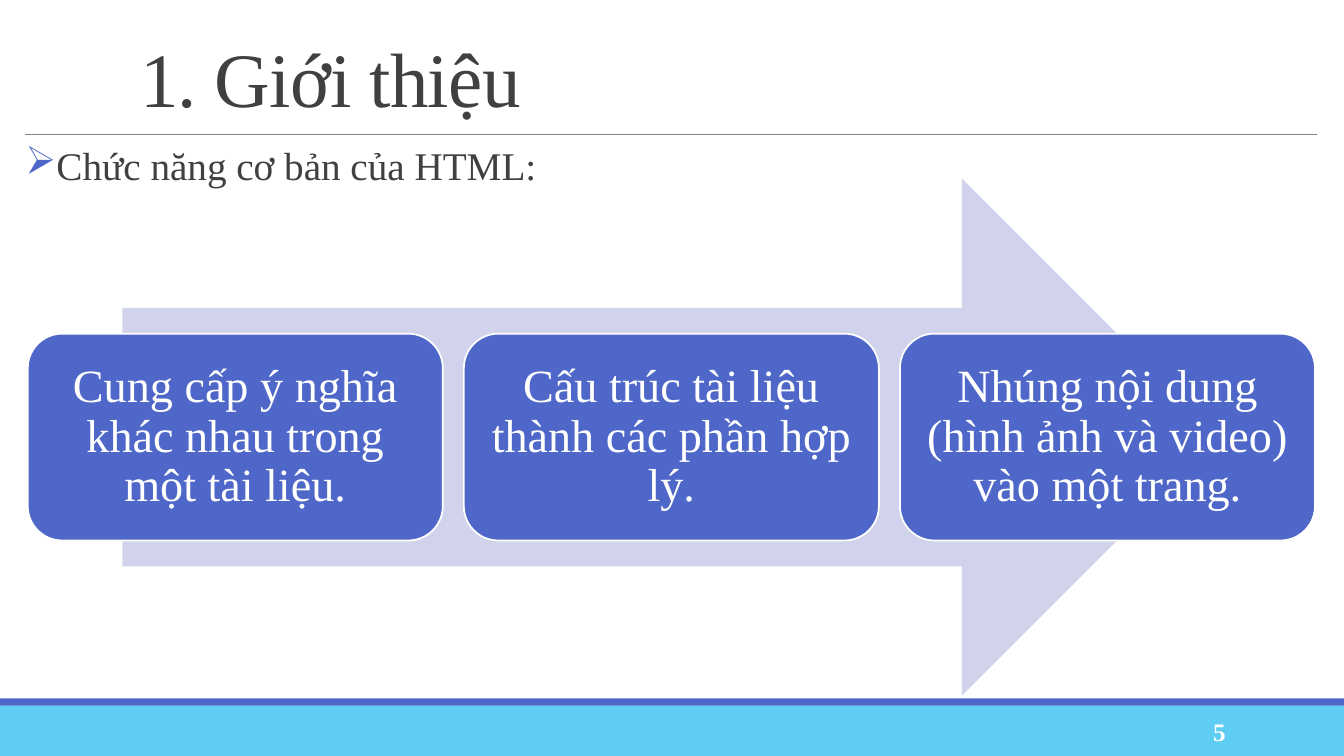
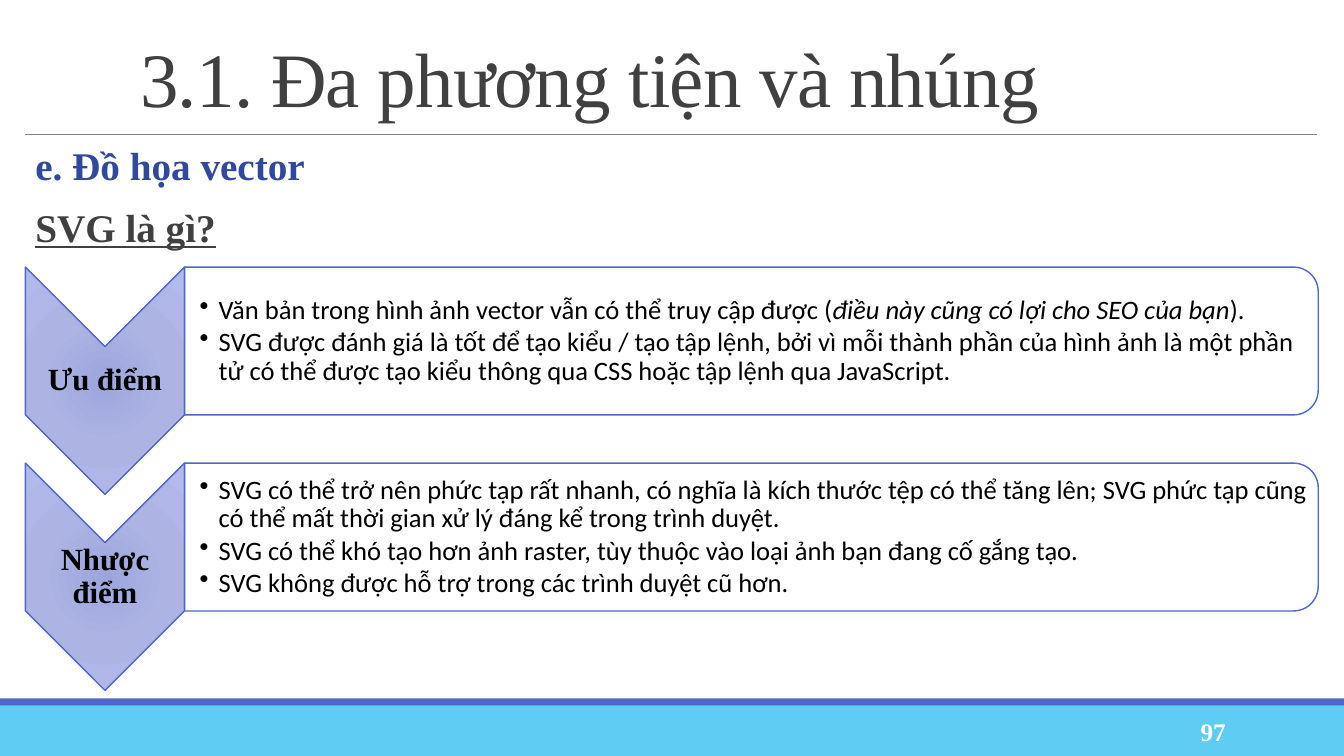
from lxml.etree import SubElement
from pptx import Presentation
from pptx.dml.color import RGBColor
from pptx.enum.shapes import MSO_CONNECTOR, MSO_SHAPE
from pptx.enum.text import MSO_ANCHOR, PP_ALIGN
from pptx.oxml import parse_xml
from pptx.oxml.ns import nsdecls, qn
from pptx.util import Cm, Pt

COLORS = {
    "band": "5ECCF3",
    "accent": "4E67C8",
    "rule": "808080",
    "text": "404040",
    "heading": "31489F",
    "arrow": "D0D3EB",
    "white": "FFFFFF",
    "black": "000000",
    "chevron_in": "9CA5DD",
    "chevron_mid": "ADB4E4",
    "chevron_out": "B2BAEB",
}
SERIF, SANS = "Times New Roman", "Calibri"
SLIDE_W, SLIDE_H = 33.87, 19.05
TITLE_BOX = (3.28, 0.79, 29.92, 2.44)
BODY_BOX = (0.64, 3.56, 32.56, 13.56)
NUMBER_BOX = (27.51, 17.93, 3.63, 1.02)
PROCESS_BOX = (0.64, 4.5, 32.56, 13.03)
CHEVRON_BOX = (0.64, 6.73, 32.58, 10.67)


def rgb(name):
    return RGBColor.from_string(COLORS[name])


def cm(*lengths):
    return [Cm(v) for v in lengths]


def add_run(p, text, size, color, font=SERIF, bold=False, italic=False, underline=False):
    r = p.add_run()
    r.text = text
    f = r.font
    f.name, f.size, f.bold, f.italic, f.underline = font, Pt(size), bold, italic, underline
    f.color.rgb = rgb(color)
    return r


def setup_frame(tf, insets=(0.25, 0.13, 0.25, 0.13), anchor=MSO_ANCHOR.MIDDLE):
    tf.word_wrap = True
    tf.vertical_anchor = anchor
    tf.margin_left, tf.margin_top, tf.margin_right, tf.margin_bottom = cm(*insets)
    return tf


def add_text_box(s, box, **frame):
    return setup_frame(s.shapes.add_textbox(*cm(*box)).text_frame, **frame)


def next_paragraph(tf, index):
    return tf.add_paragraph() if index else tf.paragraphs[0]


def set_bullet(p, hang, char=None, color=None):
    pPr = p._p.get_or_add_pPr()
    pPr.set("marL", str(Cm(hang)))
    pPr.set("indent", str(-Cm(hang) if char else 0))
    if color:
        SubElement(SubElement(pPr, qn("a:buClr")), qn("a:srgbClr"), val=COLORS[color])
    if char:
        SubElement(pPr, qn("a:buChar"), char=char)
    else:
        SubElement(pPr, qn("a:buNone"))


def add_box(s, kind, box, fill=None, line=None, width=1):
    sp = s.shapes.add_shape(kind, *cm(*box))
    sp.shadow.inherit = False
    if fill:
        sp.fill.solid()
        sp.fill.fore_color.rgb = rgb(fill)
    if line:
        sp.line.color.rgb = rgb(line)
        sp.line.width = Pt(width)
    else:
        sp.line.fill.background()
    return sp


def add_turned_box(s, kind, box, **style):
    x, y, w, h = box
    sp = add_box(s, kind, (x + (w - h) / 2, y + (h - w) / 2, h, w), **style)
    sp.rotation = 90
    return sp


def set_radial_fill(sp, stops):
    gs = "".join(
        f'<a:gs pos="{pos * 1000}"><a:srgbClr val="{COLORS[name]}"/></a:gs>'
        for pos, name in stops
    )
    sp.fill.background()
    spPr = sp._element.spPr
    grad = parse_xml(
        f'<a:gradFill {nsdecls("a")} rotWithShape="1"><a:gsLst>{gs}</a:gsLst>'
        '<a:path path="circle">'
        '<a:fillToRect l="100000" t="100000" r="100000" b="100000"/>'
        "</a:path></a:gradFill>"
    )
    spPr.replace(spPr.find(qn("a:noFill")), grad)


def decorate_layout(layout, s):
    for ph in list(layout.placeholders):
        if ph.placeholder_format.idx:
            ph.element.getparent().remove(ph.element)
    band = add_box(s, MSO_SHAPE.RECTANGLE, (0, 17.78, SLIDE_W, 1.27), fill="band")
    stripe = add_box(s, MSO_SHAPE.RECTANGLE, (0, 17.6, SLIDE_W, 0.18), fill="accent")
    rule = s.shapes.add_connector(MSO_CONNECTOR.STRAIGHT, *cm(0.64, 3.39, 33.2, 3.39))
    rule.line.color.rgb = rgb("rule")
    rule.line.width = Pt(0.5)
    SubElement(rule._element.spPr, qn("a:effectLst"))
    for part in (band, stripe, rule):
        layout.shapes.element.append(part.element)


def add_titled_slide(prs, layout, title, number):
    s = prs.slides.add_slide(layout)
    sp = s.shapes.title
    sp.left, sp.top, sp.width, sp.height = cm(*TITLE_BOX)
    p = setup_frame(sp.text_frame, anchor=MSO_ANCHOR.BOTTOM).paragraphs[0]
    p.alignment = PP_ALIGN.LEFT
    p.line_spacing = 0.85
    r = add_run(p, title, 55, "text")
    r._r.get_or_add_rPr().set("spc", "-50")
    p = add_text_box(s, NUMBER_BOX).paragraphs[0]
    p.alignment = PP_ALIGN.RIGHT
    add_run(p, number, 18, "white", bold=True)
    return s


def add_body(s, box, lines, bullet=None):
    tf = add_text_box(s, box, insets=(0, 0.13, 0, 0.13), anchor=MSO_ANCHOR.TOP)
    for i, (text, style) in enumerate(lines):
        p = next_paragraph(tf, i)
        set_bullet(p, 0.25, bullet, "accent" if bullet else None)
        p.alignment = PP_ALIGN.JUSTIFY
        p.line_spacing = 0.9
        p.space_before = Pt(12 if i else 0)
        p.space_after = Pt(2)
        add_run(p, text, 28, **style)


def add_arrow_process(s, box, steps):
    x, y, w, h = box
    add_box(s, MSO_SHAPE.RIGHT_ARROW, (x + 0.075 * w, y, 0.85 * w, h), fill="arrow")
    step_w, gap = 10.46, 0.53
    left = x + (w - len(steps) * step_w - (len(steps) - 1) * gap) / 2
    for i, text in enumerate(steps):
        step_box = (left + i * (step_w + gap), y + 0.3 * h, step_w, 0.4 * h)
        sp = add_box(s, MSO_SHAPE.ROUNDED_RECTANGLE, step_box, "accent", "white", 1.25)
        p = setup_frame(sp.text_frame, insets=(0.36,) * 4).paragraphs[0]
        p.alignment = PP_ALIGN.CENTER
        p.line_spacing = 0.9
        add_run(p, text, 33, "white")


def add_chevron_row(s, box, label, points):
    x, y, w, h = box
    chevron_w, card_h = 0.7 * h, 0.65 * h
    chevron = add_turned_box(s, MSO_SHAPE.CHEVRON, (x, y, chevron_w, h), line="accent")
    set_radial_fill(chevron, [(0, "chevron_in"), (45, "chevron_mid"), (100, "chevron_out")])
    label_box = (x, y + chevron_w / 2, chevron_w, h - chevron_w)
    p = add_text_box(s, label_box, insets=(0.05,) * 4).paragraphs[0]
    p.alignment = PP_ALIGN.CENTER
    p.line_spacing = 0.9
    add_run(p, label, 22, "black", bold=True)

    card_x, card_w = x + chevron_w, w - chevron_w
    card = add_turned_box(s, MSO_SHAPE.ROUND_2_SAME_RECTANGLE,
                          (card_x, y, card_w, card_h), fill="white", line="accent")
    white = card._element.spPr.find(qn("a:solidFill")).find(qn("a:srgbClr"))
    SubElement(white, qn("a:alpha"), val="90000")
    tf = add_text_box(s, (card_x, y + 0.18, card_w - 0.18, card_h - 0.36),
                      insets=(0.38, 0.03, 0.03, 0.03))
    for i, runs in enumerate(points):
        p = next_paragraph(tf, i)
        set_bullet(p, 0.48, "•")
        p.line_spacing = 0.9
        p.space_after = Pt(2.5)
        for text, italic in runs:
            add_run(p, text, 19, "black", SANS, italic=italic)


def add_chevron_list(s, box, rows):
    x, y, w, h = box
    row_h = 5.73
    pitch = (h - row_h) / (len(rows) - 1)
    for i, (label, points) in enumerate(rows):
        add_chevron_row(s, (x, y + i * pitch, w, row_h), label, points)


def main():
    prs = Presentation()
    prs.slide_width, prs.slide_height = cm(SLIDE_W, SLIDE_H)
    layout = prs.slide_layouts[5]

    s = add_titled_slide(prs, layout, "1. Giới thiệu", "5")
    decorate_layout(layout, s)
    add_body(s, BODY_BOX, [("Chức năng cơ bản của HTML:", {"color": "text"})], "➢")
    add_arrow_process(s, PROCESS_BOX, [
        "Cung cấp ý nghĩa khác nhau trong một tài liệu.",
        "Cấu trúc tài liệu thành các phần hợp lý.",
        "Nhúng nội dung (hình ảnh và video) vào một trang.",
    ])

    s = add_titled_slide(prs, layout, "3.1. Đa phương tiện và nhúng", "97")
    add_body(s, BODY_BOX, [
        ("e. Đồ họa vector", {"color": "heading", "bold": True}),
        ("SVG là gì?", {"color": "text", "bold": True, "underline": True}),
    ])
    add_chevron_list(s, CHEVRON_BOX, [
        ("Ưu điểm", [
            [("Văn bản trong hình ảnh vector vẫn có thể truy cập được (", False),
             ("điều này cũng có lợi cho SEO của bạn", True),
             (").", False)],
            [("SVG được đánh giá là tốt để tạo kiểu / tạo tập lệnh, bởi vì mỗi thành phần "
              "của hình ảnh là một phần tử có thể được tạo kiểu thông qua CSS hoặc tập lệnh "
              "qua JavaScript.", False)],
        ]),
        ("Nhược điểm", [
            [("SVG có thể trở nên phức tạp rất nhanh, có nghĩa là kích thước tệp có thể tăng "
              "lên; SVG phức tạp cũng có thể mất thời gian xử lý đáng kể trong trình duyệt.",
              False)],
            [("SVG có thể khó tạo hơn ảnh raster, tùy thuộc vào loại ảnh bạn đang cố gắng "
              "tạo.", False)],
            [("SVG không được hỗ trợ trong các trình duyệt cũ hơn.", False)],
        ]),
    ])
    prs.save("out.pptx")


if __name__ == "__main__":
    main()
